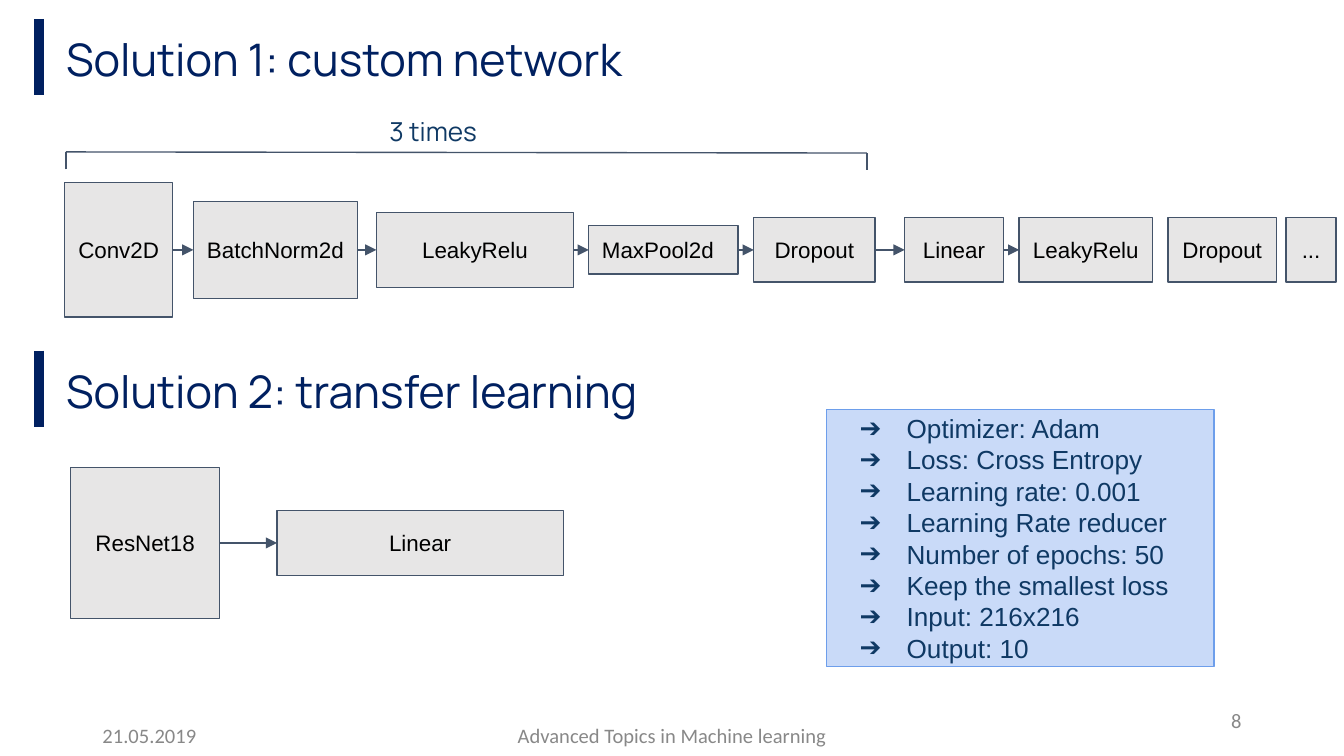
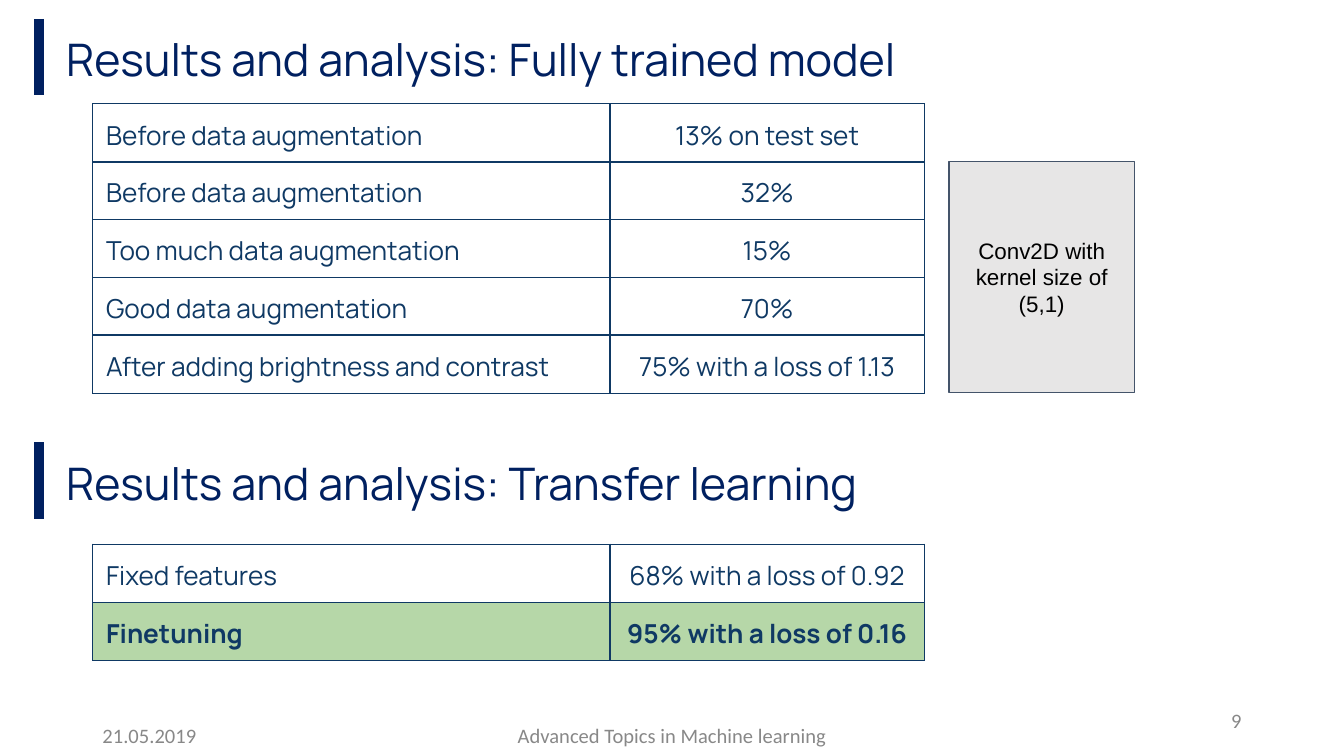
from itertools import pairwise

from lxml.etree import SubElement
from pptx import Presentation
from pptx.dml.color import RGBColor
from pptx.enum.shapes import MSO_CONNECTOR, MSO_SHAPE
from pptx.enum.text import MSO_ANCHOR, PP_ALIGN
from pptx.oxml.ns import qn
from pptx.util import Pt

COLORS = {
    "title": "002060",
    "text": "0F3964",
    "footer": "888888",
    "layer": "E7E6E6",
    "outline": "44546A",
    "label": "000000",
    "settings": "C9DAF8",
    "settings_edge": "6D9EEB",
    "best": "B6D7A8",
}
TIGHT = (5.2, 2.8)
ROOMY = (7.2, 7.2)
LEFT, CENTER, RIGHT = PP_ALIGN.LEFT, PP_ALIGN.CENTER, PP_ALIGN.RIGHT
FLOW_AXIS = 133.9
TRANSFER_AXIS = 290.9

NETWORK = [
    ("Conv2D", 34.6, 58, 72, CENTER),
    ("BatchNorm2d", 103.6, 88, 51.8, CENTER),
    ("LeakyRelu", 201.6, 105.8, 40.4, CENTER),
    ("MaxPool2d", 315.4, 80, 25.9, LEFT),
    ("Dropout", 403.8, 65, 34.6, CENTER),
    ("Linear", 484.6, 53, 34.6, CENTER),
    ("LeakyRelu", 546, 71.5, 34.6, CENTER),
    ("Dropout", 625.8, 58, 34.6, CENTER),
    ("...", 689, 26.8, 34.6, CENTER),
]
TRANSFER = [
    ("ResNet18", 37.9, 79.8, 80.8, CENTER),
    ("Linear", 148.4, 153.4, 34.6, CENTER),
]
SETTINGS = [
    "Optimizer: Adam",
    "Loss: Cross Entropy",
    "Learning rate: 0.001",
    "Learning Rate reducer",
    "Number of epochs: 50",
    "Keep the smallest loss",
    "Input: 216x216",
    "Output: 10",
]
TRAINED_RESULTS = [
    ("Before data augmentation", "13% on test set"),
    ("Before data augmentation", "32%"),
    ("Too much data augmentation", "15%"),
    ("Good data augmentation", "70%"),
    ("After adding brightness and contrast", "75% with a loss of 1.13"),
]
TRANSFER_RESULTS = [
    ("Fixed features", "68% with a loss of 0.92"),
    ("Finetuning", "95% with a loss of 0.16"),
]


def rgb(name):
    return RGBColor.from_string(COLORS[name])


def write(paragraph, words, font, size, color, align=LEFT, bold=False):
    paragraph.alignment = align
    run = paragraph.add_run()
    run.text = words
    run.font.name = font
    run.font.size = Pt(size)
    run.font.bold = bold
    run.font.color.rgb = rgb(color)


def set_frame(frame, insets, anchor):
    frame.word_wrap = True
    frame.margin_left = frame.margin_right = Pt(insets[0])
    frame.margin_top = frame.margin_bottom = Pt(insets[1])
    frame.vertical_anchor = anchor


def add_text(slide, words, bounds, font, size, color,
             align=LEFT, insets=TIGHT, anchor=MSO_ANCHOR.TOP):
    frame = slide.shapes.add_textbox(*map(Pt, bounds)).text_frame
    set_frame(frame, insets, anchor)
    write(frame.paragraphs[0], words, font, size, color, align)


def add_line(slide, start, end, color="outline", width=0.75, arrow=False):
    line = slide.shapes.add_connector(
        MSO_CONNECTOR.STRAIGHT, *map(Pt, (*start, *end)))
    line.line.color.rgb = rgb(color)
    line.line.width = Pt(width)
    if arrow:
        SubElement(line.line._get_or_add_ln(), qn("a:tailEnd"), type="triangle")
    SubElement(line._element.spPr, qn("a:effectLst"))


def add_panel(slide, bounds, fill, edge):
    panel = slide.shapes.add_shape(MSO_SHAPE.RECTANGLE, *map(Pt, bounds))
    panel.shadow.inherit = False
    panel.fill.solid()
    panel.fill.fore_color.rgb = rgb(fill)
    panel.line.color.rgb = rgb(edge)
    panel.line.width = Pt(0.75)
    set_frame(panel.text_frame, ROOMY, MSO_ANCHOR.MIDDLE)
    return panel.text_frame


def add_layer(slide, words, bounds, align=CENTER):
    frame = add_panel(slide, bounds, "layer", "outline")
    write(frame.paragraphs[0], words, "Arial", 12, "label", align)


def add_layers(slide, layers, axis):
    for words, left, width, height, align in layers:
        add_layer(slide, words, (left, axis - height / 2, width, height), align)


def add_flow(slide, layers, axis):
    for (_, left, width, *_), (_, target, *_) in pairwise(layers):
        add_line(slide, (left + width, axis), (target, axis), arrow=True)


def add_settings(slide, bounds):
    frame = add_panel(slide, bounds, "settings", "settings_edge")
    for index, setting in enumerate(SETTINGS):
        paragraph = frame.add_paragraph() if index else frame.paragraphs[0]
        write(paragraph, setting, "Arial", 14, "text")
        properties = paragraph._p.get_or_add_pPr()
        properties.set("marL", str(Pt(36)))
        properties.set("indent", str(Pt(-25.2)))
        bullet_color = SubElement(properties, qn("a:buClr"))
        SubElement(bullet_color, qn("a:srgbClr"), val=COLORS["text"])
        SubElement(properties, qn("a:buFont"), typeface="Arial")
        SubElement(properties, qn("a:buChar"), char="➔")


def set_borders(cell):
    properties = cell._tc.get_or_add_tcPr()
    for position, side in enumerate(("a:lnL", "a:lnR", "a:lnT", "a:lnB")):
        border = SubElement(properties, qn(side), w=str(Pt(0.75)))
        properties.insert(position, border)
        fill = SubElement(border, qn("a:solidFill"))
        SubElement(fill, qn("a:srgbClr"), val=COLORS["text"])


def add_result(slide, result, top, best=False):
    widths = (277.2, 168.4)
    table = slide.shapes.add_table(
        1, 2, Pt(49.6), Pt(top), Pt(sum(widths)), Pt(30.2)).table
    table.first_row = table.horz_banding = False
    for column, words, width, align in zip(
            table.columns, result, widths, (LEFT, CENTER)):
        column.width = Pt(width)
        cell = table.cell(0, 0 if align == LEFT else 1)
        cell.margin_left = cell.margin_right = Pt(7.2)
        cell.margin_top = cell.margin_bottom = Pt(7.2)
        if best:
            cell.fill.solid()
            cell.fill.fore_color.rgb = rgb("best")
        else:
            cell.fill.background()
        set_borders(cell)
        write(cell.text_frame.paragraphs[0], words,
              "Manrope", 14, "text", align, best)


def add_results(slide, results, top, best=None):
    for index, result in enumerate(results):
        add_result(slide, result, top + 31 * index, index == best)


def add_heading(slide, words, top):
    add_text(slide, words, (30.2, top, 689.8, 34.6), "Manrope", 24, "title")
    add_line(slide, (21, top - 4.3), (21, top + 36.7), "title", 5)


def add_footer(slide, number):
    for words, bounds, align in (
        (str(number), (508.3, 375.1, 162, 21.6), RIGHT),
        ("Advanced Topics in Machine learning", (238.3, 383, 243.4, 21.6), CENTER),
        ("21.05.2019", (49.7, 383, 162, 21.6), LEFT),
    ):
        add_text(slide, words, bounds, "Calibri", 11, "footer", align,
                 anchor=MSO_ANCHOR.MIDDLE)


def add_page(deck, number, headings):
    slide = deck.slides.add_slide(deck.slide_layouts[6])
    for words, top in headings:
        add_heading(slide, words, top)
    add_footer(slide, number)
    return slide


def build_solutions(deck):
    slide = add_page(deck, 8, [
        ("Solution 1: custom network", 14.4),
        ("Solution 2: transfer learning", 192.2),
    ])
    add_layers(slide, NETWORK, FLOW_AXIS)
    bracket = [(35.3, 90.7), (35.3, 81.4), (464.4, 82), (464.4, 91.3)]
    for start, end in pairwise(bracket):
        add_line(slide, start, end)
    add_text(slide, "3 times", (201.6, 54.7, 64.8, 29.5),
             "Manrope", 14, "text", insets=ROOMY)
    add_layers(slide, TRANSFER, TRANSFER_AXIS)
    add_settings(slide, (442.6, 219.4, 207.8, 137.6))
    add_flow(slide, NETWORK[:7], FLOW_AXIS)
    add_flow(slide, TRANSFER, TRANSFER_AXIS)


def build_results(deck):
    slide = add_page(deck, 9, [
        ("Results and analysis: Fully trained model", 14.4),
        ("Results and analysis: Transfer learning", 241.2),
    ])
    add_layer(slide, "Conv2D with kernel size of (5,1)", (508.5, 86.5, 99.2, 123.8))
    add_results(slide, TRAINED_RESULTS, 55.5)
    add_results(slide, TRANSFER_RESULTS, 291.6, best=1)


def main():
    deck = Presentation()
    deck.slide_width, deck.slide_height = Pt(720), Pt(405)
    build_solutions(deck)
    build_results(deck)
    deck.save("out.pptx")


if __name__ == "__main__":
    main()
